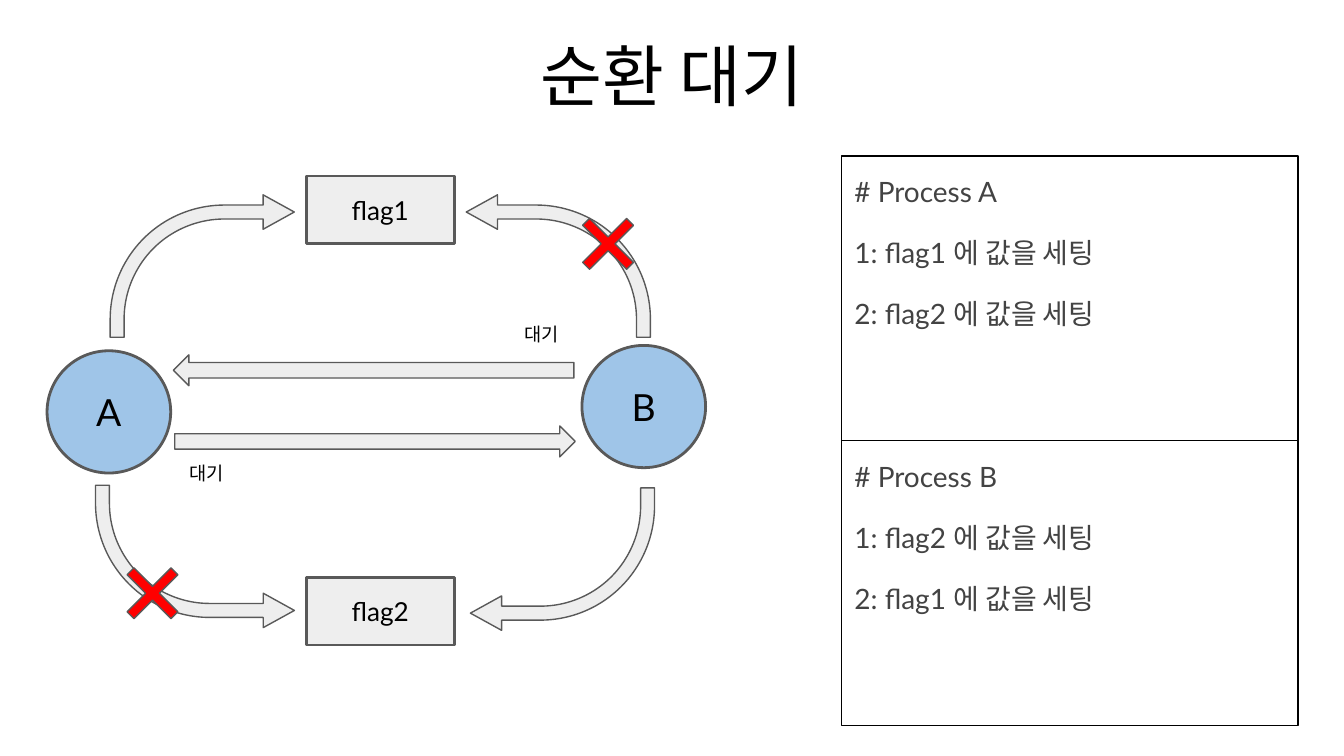
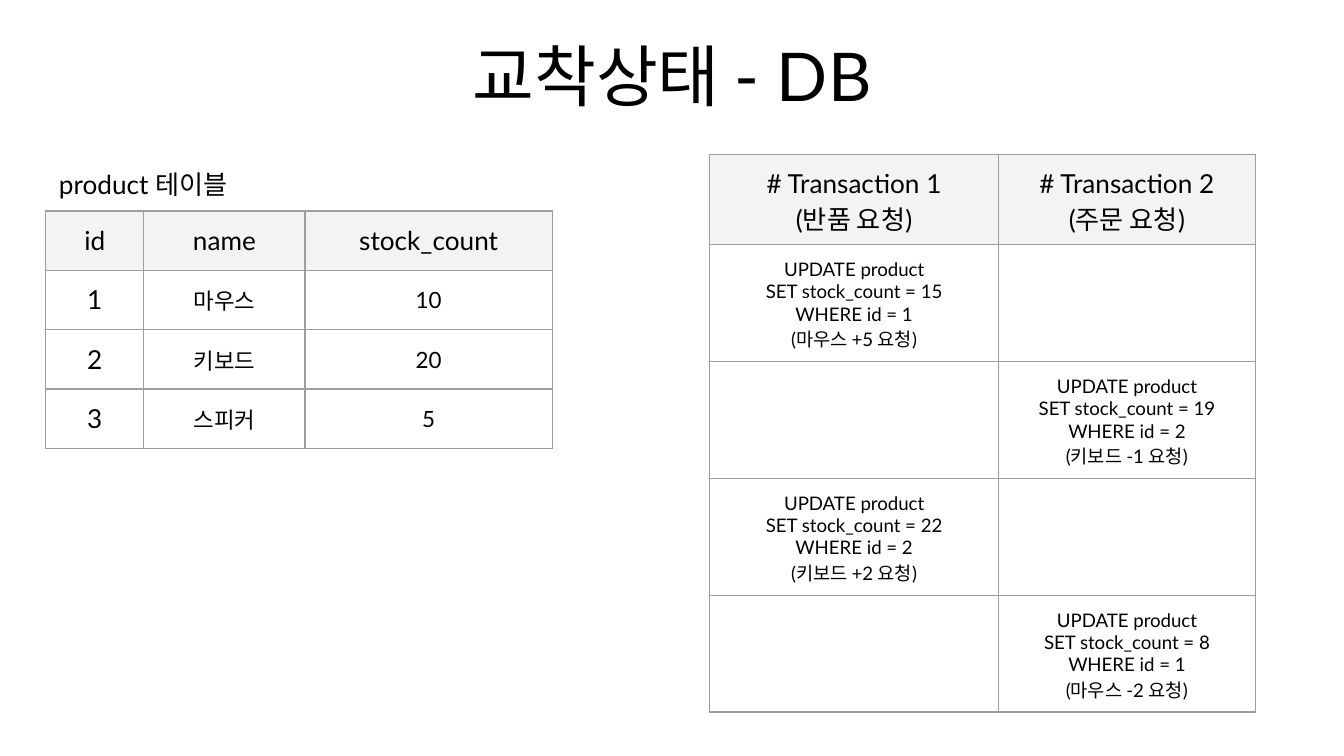
import dataclasses

import lxml.etree
import pptx
import pptx.dml.color
import pptx.enum.shapes
import pptx.enum.text
import pptx.oxml.ns
import pptx.util

SHAPES = pptx.enum.shapes.MSO_SHAPE
ALIGN = pptx.enum.text.PP_ALIGN
ANCHOR = pptx.enum.text.MSO_ANCHOR
AUTO_SIZE = pptx.enum.text.MSO_AUTO_SIZE
EMU_PER_PX = 9144
TITLE_ONLY = 5


@dataclasses.dataclass(frozen=True)
class Theme:
    font: str = "Lato"
    paper: str = "FFFFFF"
    ink: str = "000000"
    muted: str = "434343"
    outline: str = "595959"
    node: str = "9FC5E8"
    neutral: str = "EEEEEE"
    blocked: str = "FF0000"
    header: str = "F3F3F3"
    grid: str = "9E9E9E"
    title_size: int = 36
    node_size: int = 20
    panel_size: int = 15
    body_size: int = 14
    cell_size: int = 12
    small_size: int = 10
    thin: float = 0.75
    thick: float = 1.5
    inset: int = 10


def px(length):
    return pptx.util.Emu(length * EMU_PER_PX)


def color(code):
    return pptx.dml.color.RGBColor.from_string(code)


def write(para, text, *, font, size, ink, align=ALIGN.CENTER, spacing=None, before=None, after=None):
    para.alignment = align
    para.line_spacing = spacing
    para.space_before = before
    para.space_after = after
    for index, line in enumerate(text.split("\n")):
        if index:
            para.add_line_break()
        span = para.add_run()
        span.text = line
        span.font.name = font
        span.font.size = pptx.util.Pt(size)
        span.font.color.rgb = color(ink)


class Painter:
    def __init__(self, deck, theme):
        self.deck = deck
        self.theme = theme
        self.page = None

    def new_page(self, title):
        self.page = self.deck.slides.add_slide(self.deck.slide_layouts[TITLE_ONLY])
        self.page.background.fill.solid()
        self.page.background.fill.fore_color.rgb = color(self.theme.paper)
        box = self.page.shapes.title
        box.left, box.top, box.width, box.height = map(px, (34, 24, 932, 63))
        self.fill_text(box, [title], self.theme.title_size)

    def fill_text(self, box, lines, size, ink=None, anchor=ANCHOR.MIDDLE,
                  auto_size=AUTO_SIZE.NONE, gap=0, **style):
        frame = box.text_frame
        frame.word_wrap = True
        frame.auto_size = auto_size
        frame.vertical_anchor = anchor
        frame.margin_left = frame.margin_right = px(self.theme.inset)
        frame.margin_top = frame.margin_bottom = px(self.theme.inset)
        for index, line in enumerate(lines):
            para = frame.add_paragraph() if index else frame.paragraphs[0]
            write(para, line, font=self.theme.font, size=size, ink=ink or self.theme.ink,
                  before=pptx.util.Pt(gap if index else 0), **style)

    def shape(self, kind, area, fill=None, line=None, weight=None, adjust=(), rotation=0,
              flip=False, parent=None):
        shape = (parent or self.page).shapes.add_shape(kind, *map(px, area))
        shape.shadow.inherit = False
        if fill:
            shape.fill.solid()
            shape.fill.fore_color.rgb = color(fill)
        else:
            shape.fill.background()
        shape.line.color.rgb = color(line or self.theme.outline)
        shape.line.width = pptx.util.Pt(weight or self.theme.thin)
        for index, value in enumerate(adjust):
            shape.adjustments[index] = value
        shape.rotation = rotation
        if flip:
            shape.element.spPr.xfrm.set("flipH", "1")
        return shape

    def node(self, kind, area, text, fill, size):
        self.fill_text(self.shape(kind, area, fill, weight=self.theme.thick), [text], size)

    def bent_arrow(self, area, rotation=0, flip=False):
        self.shape(SHAPES.BENT_ARROW, area, self.theme.neutral,
                   adjust=(0.098, 0.121, 0.219, 0.802), rotation=rotation, flip=flip)

    def cross(self, left, top):
        self.shape(SHAPES.MATH_MULTIPLY, (left, top, 63, 63), self.theme.blocked, adjust=(0.115,))

    def label(self, area, text, size, align=ALIGN.CENTER, parent=None):
        box = (parent or self.page).shapes.add_textbox(*map(px, area))
        self.fill_text(box, [text], size, anchor=ANCHOR.TOP,
                       auto_size=AUTO_SIZE.SHAPE_TO_FIT_TEXT, align=align)

    def wait_arrow(self, left, top, label_left, label_top, rotation=0):
        group = self.page.shapes.add_group_shape()
        self.shape(SHAPES.RIGHT_ARROW, (left, top, 298, 23), self.theme.neutral,
                   adjust=(0.5, 0.5), rotation=rotation, parent=group)
        self.label((label_left, label_top, 48, 37), "대기", self.theme.small_size, parent=group)

    def panel(self, area, lines):
        box = self.shape(SHAPES.RECTANGLE, area, line=self.theme.ink)
        self.fill_text(box, lines, self.theme.panel_size, self.theme.muted, ANCHOR.TOP,
                       gap=12, align=ALIGN.LEFT, spacing=1.15)

    def border(self, cell):
        props = cell._tc.get_or_add_tcPr()
        name = pptx.oxml.ns.qn
        for side in ("a:lnL", "a:lnR", "a:lnT", "a:lnB"):
            edge = lxml.etree.SubElement(props, name(side), w=str(pptx.util.Pt(self.theme.thin)))
            paint = lxml.etree.SubElement(edge, name("a:solidFill"))
            lxml.etree.SubElement(paint, name("a:srgbClr"), val=self.theme.grid)

    def table(self, left, top, widths, heights, rows, size_of):
        area = (left, top, sum(widths), sum(heights))
        table = self.page.shapes.add_table(len(rows), len(widths), *map(px, area)).table
        table.first_row = table.horz_banding = False
        for column, width in zip(table.columns, widths):
            column.width = px(width)
        for row, height in zip(table.rows, heights):
            row.height = px(height)
        for r, row in enumerate(rows):
            for c, text in enumerate(row):
                cell = table.cell(r, c)
                self.border(cell)
                if r == 0:
                    cell.fill.solid()
                    cell.fill.fore_color.rgb = color(self.theme.header)
                else:
                    cell.fill.background()
                cell.vertical_anchor = ANCHOR.MIDDLE
                cell.margin_left = cell.margin_right = px(self.theme.inset)
                cell.margin_top = cell.margin_bottom = px(self.theme.inset)
                if text:
                    write(cell.text_frame.paragraphs[0], text, font=self.theme.font,
                          size=size_of(r, c), ink=self.theme.ink)


def update(count, product_id, request):
    return f"UPDATE product\nSET stock_count = {count}\nWHERE id = {product_id}\n({request} 요청)"


def circular_wait(painter):
    theme = painter.theme
    painter.new_page("순환 대기")
    for text, left, top in (("A", 35, 261), ("B", 433, 257)):
        painter.node(SHAPES.OVAL, (left, top, 92, 91), text, theme.node, theme.node_size)
    for text, top in (("flag2", 430), ("flag1", 131)):
        painter.node(SHAPES.RECTANGLE, (228, top, 110, 50), text, theme.neutral, theme.body_size)
    painter.bent_arrow((82, 145, 137, 106))
    painter.bent_arrow((350, 363, 137, 106), rotation=180)
    painter.bent_arrow((71, 361, 148, 106), rotation=180, flip=True)
    painter.bent_arrow((347, 145, 137, 106), flip=True)
    for index, (process, first, second) in enumerate((("A", 1, 2), ("B", 2, 1))):
        painter.panel((626, 116 + index * 212, 340, 212),
                      [f"# Process {process}", f"1: flag{first} 에 값을 세팅",
                       f"2: flag{second} 에 값을 세팅"])
    painter.cross(421, 150)
    painter.cross(82, 410)
    painter.wait_arrow(129, 264, 379, 232, rotation=180)
    painter.wait_arrow(130, 317, 130, 335)


def database_deadlock(painter):
    theme = painter.theme
    painter.new_page("교착상태 - DB")
    products = [("id", "name", "stock_count"), ("1", "마우스", "10"),
                ("2", "키보드", "20"), ("3", "스피커", "5")]
    painter.table(34, 157, (73, 120, 184), (44,) * 4, products,
                  lambda r, c: theme.cell_size if r and c else theme.body_size)
    painter.label((34, 115, 169, 44), "product 테이블", theme.body_size, ALIGN.LEFT)
    steps = [("# Transaction 1\n(반품 요청)", "# Transaction 2\n(주문 요청)"),
             (update(15, 1, "마우스 +5"), ""), ("", update(19, 2, "키보드 -1")),
             (update(22, 2, "키보드 +2"), ""), ("", update(8, 1, "마우스 -2"))]
    painter.table(528, 115, (215, 191), (67,) + (87,) * 4, steps,
                  lambda r, c: theme.small_size if r else theme.body_size)


def main():
    deck = pptx.Presentation()
    deck.slide_width = px(1000)
    deck.slide_height = pptx.util.Inches(5.625)
    painter = Painter(deck, Theme())
    circular_wait(painter)
    database_deadlock(painter)
    deck.save("out.pptx")


if __name__ == "__main__":
    main()
